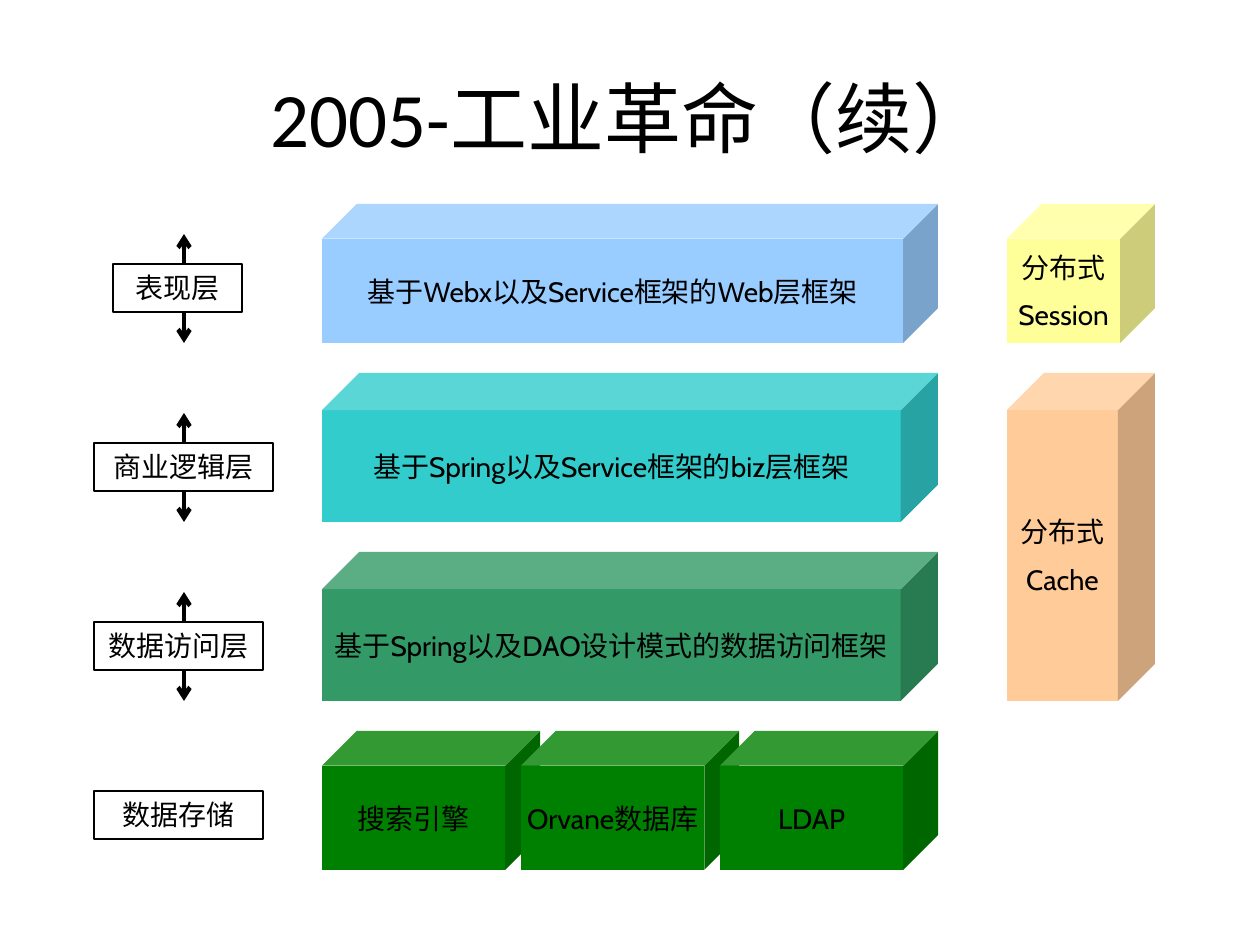
from dataclasses import dataclass

from lxml import etree
from pptx import Presentation
from pptx.dml.color import RGBColor
from pptx.enum import shapes, text
from pptx.oxml import ns
from pptx.util import Pt

SCALE = 914400 / 126


@dataclass(frozen=True)
class Theme:
    ink: str = "000000"
    web: str = "99CCFF"
    biz: str = "33CCCC"
    data: str = "339966"
    store: str = "008000"
    session: str = "FFFF99"
    cache: str = "FFCC99"
    title_font: str = "Calibri"
    cube_font: str = "Cabin"
    label_font: str = "Times New Roman"
    title_size: int = 44
    body_size: int = 16
    para_gap: int = 8
    border: float = 0.75
    arrow: float = 2.5


THEME = Theme()
STACK_LEFT, STACK_WIDTH = 322, 616
SIDE_LEFT, SIDE_WIDTH = 1007, 148
STORE_WIDTH = 218
AXIS = 184
LABEL_RISE, LABEL_HEIGHT, ARROW_LENGTH = 79, 48, 30

LAYERS = [
    (204, 139, THEME.web, "基于Webx以及Service框架的Web层框架"),
    (373, 149, THEME.biz, "基于Spring以及Service框架的biz层框架"),
    (552, 149, THEME.data, "基于Spring以及DAO设计模式的数据访问框架"),
]
STORE_TOP, STORE_HEIGHT = 731, 139
STORES = ["搜索引擎", "Orvane数据库", "LDAP"]
SIDES = [
    (204, 139, THEME.session, "分布式\nSession"),
    (373, 328, THEME.cache, "分布式\nCache"),
]
LABELS = [
    (113, 129, 343, "表现层", True),
    (94, 179, 522, "商业逻辑层", True),
    (94, 169, 701, "数据访问层", True),
    (94, 169, 870, "数据存储", False),
]


def px(*lengths):
    return [round(n * SCALE) for n in lengths]


def color(value):
    return RGBColor.from_string(value)


def write(sp, content, *, font, size=THEME.body_size, gap=THEME.para_gap,
          anchor=text.MSO_ANCHOR.MIDDLE, wrap=True):
    tf = sp.text_frame
    tf.word_wrap = wrap
    tf.vertical_anchor = anchor
    for i, line in enumerate(content.split("\n")):
        p = tf.add_paragraph() if i else tf.paragraphs[0]
        p.alignment = text.PP_ALIGN.CENTER
        p.space_before = Pt(gap)
        r = p.add_run()
        r.text = line
        r.font.name = font
        r.font.size = Pt(size)
        r.font.color.rgb = color(THEME.ink)


def add_title(slide, content):
    sp = slide.shapes.add_textbox(*px(63, 38, 1134, 158))
    write(sp, content, font=THEME.title_font, size=THEME.title_size, gap=0)


def add_cube(slide, box, fill, content):
    sp = slide.shapes.add_shape(shapes.MSO_SHAPE.CUBE, *px(*box))
    sp.shadow.inherit = False
    sp.adjustments[0] = 0.25
    sp.fill.solid()
    sp.fill.fore_color.rgb = color(fill)
    sp.line.fill.background()
    write(sp, content, font=THEME.cube_font, wrap=False)


def add_label(slide, box, content):
    sp = slide.shapes.add_shape(shapes.MSO_SHAPE.RECTANGLE, *px(*box))
    sp.shadow.inherit = False
    sp.fill.background()
    sp.line.color.rgb = color(THEME.ink)
    sp.line.width = Pt(THEME.border)
    write(sp, content, font=THEME.label_font, anchor=text.MSO_ANCHOR.TOP)
    sp.text_frame.auto_size = text.MSO_AUTO_SIZE.SHAPE_TO_FIT_TEXT


def add_arrow(slide, start, end):
    line = slide.shapes.add_connector(
        shapes.MSO_CONNECTOR.STRAIGHT, *px(AXIS, start, AXIS, end))
    line.line.color.rgb = color(THEME.ink)
    line.line.width = Pt(THEME.arrow)
    etree.SubElement(line.line._get_or_add_ln(), ns.qn("a:tailEnd"), type="arrow")
    etree.SubElement(line._element.spPr, ns.qn("a:effectLst"))


def main():
    prs = Presentation()
    prs.slide_width, prs.slide_height = px(1260, 945)
    slide = prs.slides.add_slide(prs.slide_layouts[6])
    add_title(slide, "2005-工业革命（续）")

    pitch = (STACK_WIDTH - STORE_WIDTH) // (len(STORES) - 1)
    for i, name in enumerate(STORES):
        box = (STACK_LEFT + i * pitch, STORE_TOP, STORE_WIDTH, STORE_HEIGHT)
        add_cube(slide, box, THEME.store, name)
    for left, width, cubes in ((STACK_LEFT, STACK_WIDTH, LAYERS),
                               (SIDE_LEFT, SIDE_WIDTH, SIDES)):
        for top, height, fill, content in cubes:
            add_cube(slide, (left, top, width, height), fill, content)

    for left, width, bottom, name, has_arrows in LABELS:
        top = bottom - LABEL_RISE
        add_label(slide, (left, top, width, LABEL_HEIGHT), name)
        if has_arrows:
            add_arrow(slide, bottom - ARROW_LENGTH, bottom)
            add_arrow(slide, top, top - ARROW_LENGTH)

    prs.save("out.pptx")


if __name__ == "__main__":
    main()
